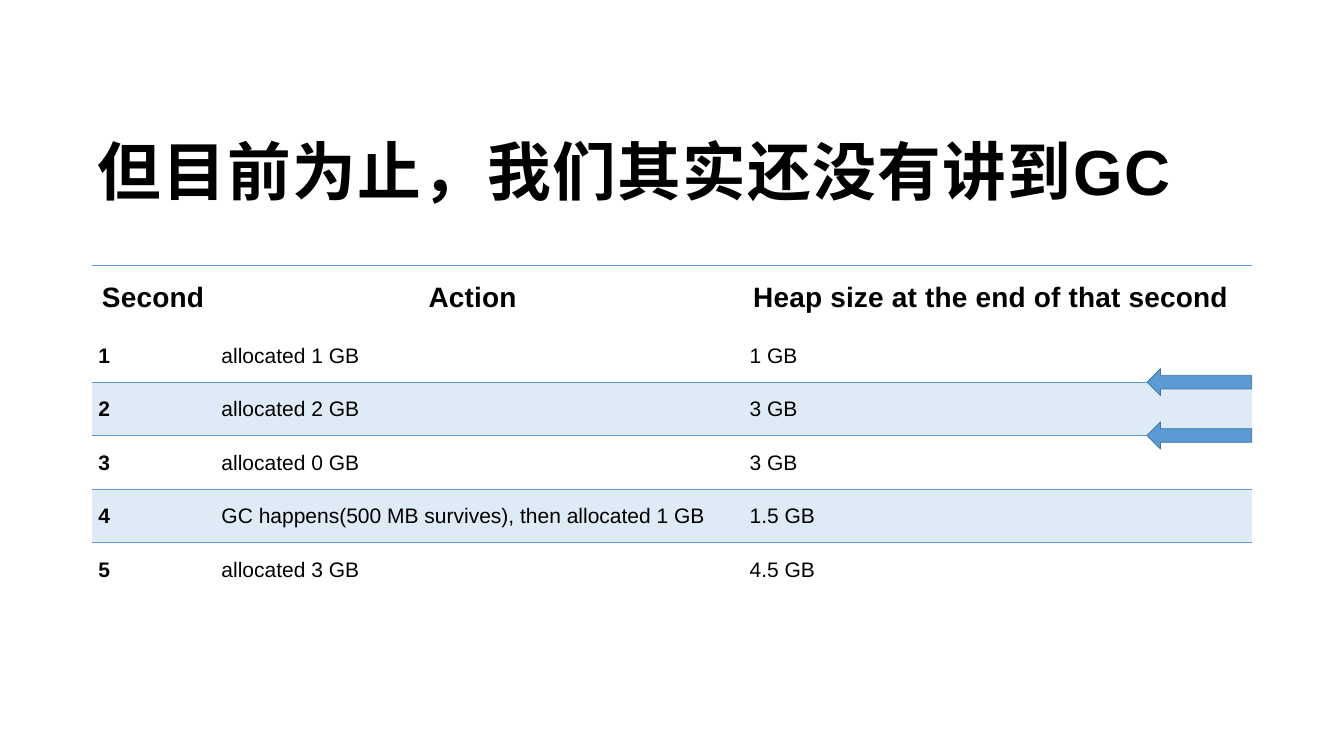
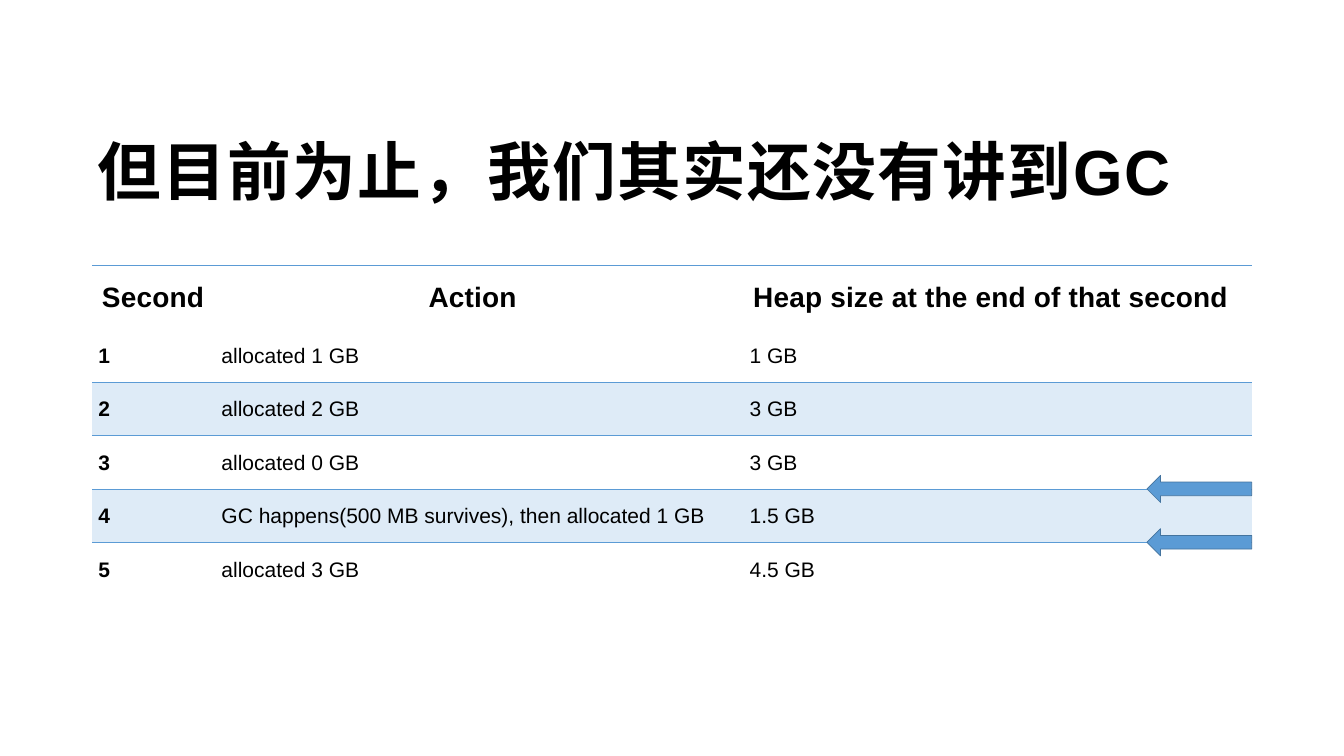
from dataclasses import dataclass
from typing import Any, Optional

from lxml import etree
from pptx import Presentation
from pptx.dml.color import RGBColor
from pptx.enum.shapes import MSO_SHAPE
from pptx.enum.text import MSO_ANCHOR, PP_ALIGN
from pptx.oxml.ns import qn
from pptx.util import Cm, Pt

LEFT_ARROW = MSO_SHAPE.LEFT_ARROW
BOTTOM, MIDDLE = MSO_ANCHOR.BOTTOM, MSO_ANCHOR.MIDDLE
LEFT, CENTER = PP_ALIGN.LEFT, PP_ALIGN.CENTER

# Shared look
BLACK = RGBColor(0x00, 0x00, 0x00)
WHITE = RGBColor(0xFF, 0xFF, 0xFF)
BLUE = RGBColor(0x5B, 0x9B, 0xD5)
DARK_BLUE = RGBColor(0x43, 0x73, 0x9E)
PALE_BLUE = RGBColor(0xDE, 0xEB, 0xF7)
FONT = "Arial"
PLAIN_TABLE_STYLE = "{2D5ABB26-0587-4C30-8999-92F81FD0307C}"

# Shared measures
CONTENT_LEFT, CONTENT_WIDTH = Cm(4.65), Cm(58.42)
TITLE_TOP, TITLE_HEIGHT = Cm(5.51), Cm(5.18)
TABLE_TOP = Cm(13.39)
COLUMN_WIDTHS = (Cm(6.2), Cm(26.01), Cm(26.21))
HEADER_HEIGHT, ROW_HEIGHT = Cm(3.18), Cm(2.69)
ARROW_WIDTH, ARROW_HEIGHT = Cm(5.28), Cm(1.37)
CELL_INDENTS = (Cm(0.31), Cm(0.31), Cm(0.91))

# Content
TITLE = "但目前为止，我们其实还没有讲到GC"
HEADINGS = ("Second", "Action", "Heap size at the end of that second")
SECONDS = (
    ("1", "allocated 1 GB", "1 GB"),
    ("2", "allocated 2 GB", "3 GB"),
    ("3", "allocated 0 GB", "3 GB"),
    ("4", "GC happens(500 MB survives), then allocated 1 GB", "1.5 GB"),
    ("5", "allocated 3 GB", "4.5 GB"),
)
# Seconds below whose rows the arrows point, one tuple per slide
ARROW_SECONDS = ((1, 2), (3, 4))


@dataclass(frozen=True)
class TextStyle:
    size: float
    bold: bool
    spacing: int
    align: Any
    paragraph: dict[str, Any]


CELL_PARAGRAPH = {"line_spacing": 1.07, "space_after": Pt(12)}
TITLE_STYLE = TextStyle(91, True, 200, LEFT, {"line_spacing": 0.9})
HEADING_STYLE = TextStyle(40, True, 30, CENTER, CELL_PARAGRAPH)
SECOND_STYLE = TextStyle(30, True, 0, LEFT, CELL_PARAGRAPH)
VALUE_STYLE = TextStyle(30, False, 0, LEFT, CELL_PARAGRAPH)


@dataclass(frozen=True)
class CellLook:
    indent: int
    right_margin: int
    fill: Optional[RGBColor] = None
    top_line: float = 0
    bottom_line: float = 0


def apply_format(target: Any, values: dict[str, Any]) -> None:
    for name, value in values.items():
        setattr(target, name, value)


def write_text(frame: Any, text: str, style: TextStyle) -> None:
    paragraph = frame.paragraphs[0]
    apply_format(paragraph, {"alignment": style.align, **style.paragraph})
    run = paragraph.add_run()
    run.text = text
    apply_format(run.font, {"name": FONT, "size": Pt(style.size), "bold": style.bold})
    run.font.color.rgb = BLACK
    run.font._element.set("spc", str(style.spacing))


def add_border(cell: Any, side: str, points: float) -> None:
    properties = cell._tc.get_or_add_tcPr()
    border = etree.SubElement(properties, qn(f"a:{side}"), w=str(Pt(points)))
    fill = etree.SubElement(border, qn("a:solidFill"))
    etree.SubElement(fill, qn("a:srgbClr"), val=str(BLUE))


def draw_cell(cell: Any, text: str, style: TextStyle, look: CellLook) -> None:
    apply_format(cell, {
        "vertical_anchor": MIDDLE,
        "margin_left": look.indent,
        "margin_right": look.right_margin,
        "margin_top": Cm(0.41),
        "margin_bottom": Cm(0.41),
    })
    write_text(cell.text_frame, text, style)
    for side, points in (("lnT", look.top_line), ("lnB", look.bottom_line)):
        if points:
            add_border(cell, side, points)
    if look.fill is None:
        cell.fill.background()
    else:
        cell.fill.solid()
        cell.fill.fore_color.rgb = look.fill


def add_title(slide: Any) -> None:
    title = slide.shapes.add_textbox(CONTENT_LEFT, TITLE_TOP, CONTENT_WIDTH, TITLE_HEIGHT)
    apply_format(title.text_frame, {"word_wrap": True, "vertical_anchor": BOTTOM})
    write_text(title.text_frame, TITLE, TITLE_STYLE)


def add_heap_table(slide: Any) -> None:
    row_count = len(SECONDS) + 1
    table = slide.shapes.add_table(
        row_count, len(HEADINGS), CONTENT_LEFT, TABLE_TOP, CONTENT_WIDTH,
        HEADER_HEIGHT + ROW_HEIGHT * len(SECONDS)).table
    apply_format(table, {"first_row": False, "horz_banding": False})
    table._tbl.tblPr.find(qn("a:tableStyleId")).text = PLAIN_TABLE_STYLE
    for column, width in zip(table.columns, COLUMN_WIDTHS):
        column.width = width
    for index, row in enumerate(table.rows):
        row.height = ROW_HEIGHT if index else HEADER_HEIGHT

    # Header row
    header_look = CellLook(0, Cm(0.08), top_line=1.5)
    for column, heading in enumerate(HEADINGS):
        draw_cell(table.cell(0, column), heading, HEADING_STYLE, header_look)

    # Even seconds are shaded, with a line above each shaded row
    for row, second in enumerate(SECONDS, start=1):
        shaded = row % 2 == 0
        for column, (text, indent) in enumerate(zip(second, CELL_INDENTS)):
            look = CellLook(
                indent, Cm(0.86),
                fill=PALE_BLUE if shaded else None,
                top_line=0.75 if shaded else 0,
                bottom_line=0.75 if not shaded and row < len(SECONDS) else 0)
            style = VALUE_STYLE if column else SECOND_STYLE
            draw_cell(table.cell(row, column), text, style, look)


def add_row_arrow(slide: Any, second: int) -> None:
    row_bottom = TABLE_TOP + HEADER_HEIGHT + ROW_HEIGHT * second
    arrow = slide.shapes.add_shape(
        LEFT_ARROW, CONTENT_LEFT + CONTENT_WIDTH - ARROW_WIDTH,
        row_bottom - ARROW_HEIGHT // 2, ARROW_WIDTH, ARROW_HEIGHT)
    arrow.shadow.inherit = False
    arrow.fill.solid()
    arrow.fill.fore_color.rgb = BLUE
    arrow.line.color.rgb = DARK_BLUE
    arrow.line.width = Pt(1)


def main() -> None:
    deck = Presentation()
    apply_format(deck, {"slide_width": Cm(67.72), "slide_height": Cm(38.1)})
    blank_layout = deck.slide_layouts[6]
    for arrow_seconds in ARROW_SECONDS:
        slide = deck.slides.add_slide(blank_layout)
        slide.background.fill.solid()
        slide.background.fill.fore_color.rgb = WHITE
        add_title(slide)
        add_heap_table(slide)
        for second in arrow_seconds:
            add_row_arrow(slide, second)
    deck.save("out.pptx")


if __name__ == "__main__":
    main()
